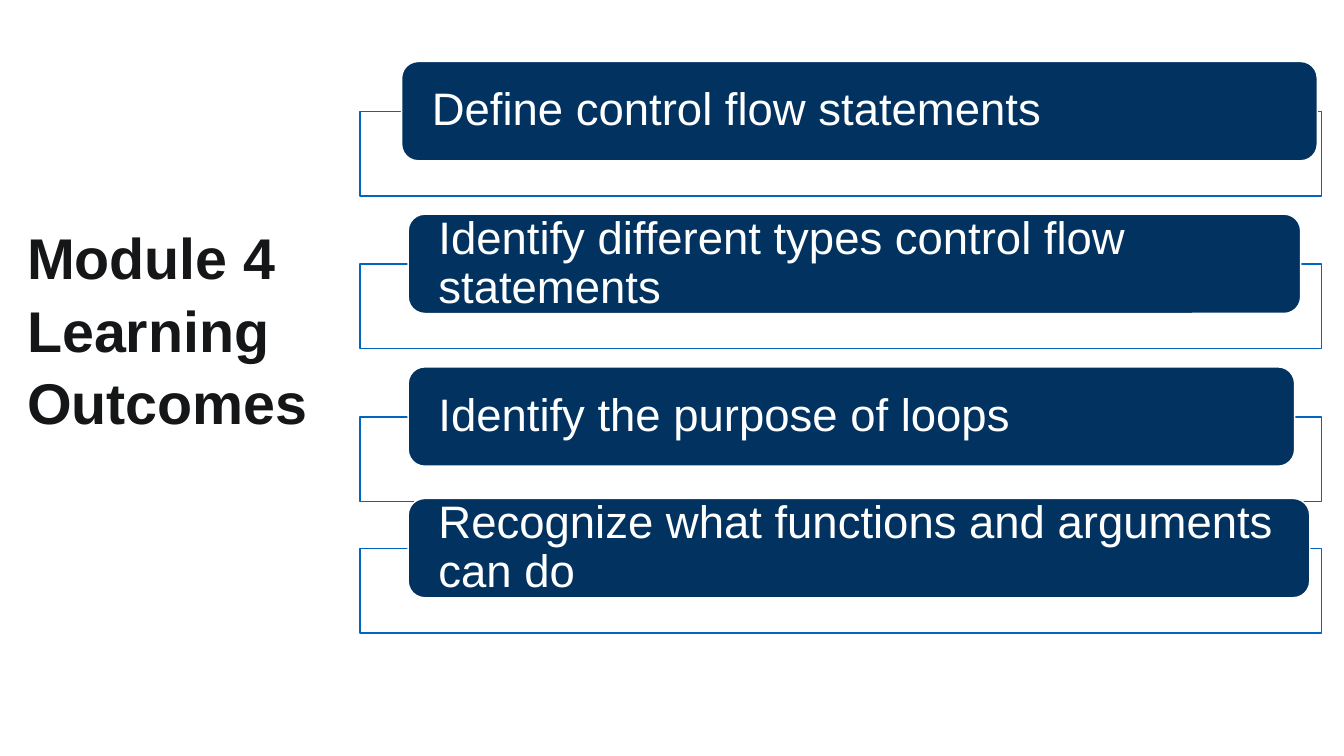
from dataclasses import dataclass

from lxml import etree
from pptx import Presentation
from pptx.dml.color import RGBColor as RGB
from pptx.enum.shapes import MSO_SHAPE as SHAPE
from pptx.enum.text import MSO_ANCHOR as ANCHOR, MSO_AUTO_SIZE as AUTO, PP_ALIGN as ALIGN
from pptx.oxml.ns import qn
from pptx.util import Inches, Pt


@dataclass(frozen=True)
class Theme:
    font: str = "Arial"
    ink: str = "151618"
    white: str = "FFFFFF"
    navy: str = "013260"
    blue: str = "0365C0"
    title_size: int = 82
    item_size: int = 65
    line_width: int = 2


class Builder:
    """Draws styled elements on the current slide."""

    def __init__(self, slide, theme):
        self.s, self.t = slide, theme

    def group(self):
        return self.s.shapes.add_group_shape().shapes

    def box(self, shapes, kind, at, fill, line, opacity=None):
        sp = shapes.add_shape(kind, *map(Inches, at))
        sp.shadow.inherit = False
        sp.fill.solid()
        sp.fill.fore_color.rgb = RGB.from_string(fill)
        sp.line.color.rgb = RGB.from_string(line)
        sp.line.width = Pt(self.t.line_width)
        if opacity is not None:
            color = sp.fill._xPr.find(qn("a:solidFill"))[0]
            etree.SubElement(color, qn("a:alpha")).set("val", str(opacity * 1000))
        return sp

    def text(self, shapes, at, text, size, color, inset=0, spacing=1.0, bold=False, auto=AUTO.NONE):
        tf = shapes.add_textbox(*map(Inches, at)).text_frame
        margins = {f"margin_{side}": Inches(inset) for side in ("left", "top", "right", "bottom")}
        frame = {"word_wrap": True, "auto_size": auto, "vertical_anchor": ANCHOR.MIDDLE, **margins}
        for name, value in frame.items():
            setattr(tf, name, value)
        p = tf.paragraphs[0]
        p.alignment, p.line_spacing = ALIGN.LEFT, spacing
        r = p.add_run()
        r.text = text
        for name, value in {"name": self.t.font, "size": Pt(size), "bold": bold}.items():
            setattr(r.font, name, value)
        r.font.color.rgb = RGB.from_string(color)

    def outcome(self, shapes, top, left, width, text, text_height):
        t = self.t
        pill_height, pad = 1.97, 0.6
        # Outlined frame behind the pill
        self.box(shapes, SHAPE.RECTANGLE, (7.14, top + 0.99, 19.08, 1.68), t.white, t.blue, opacity=89)
        # Rounded pill and its label
        self.box(shapes, SHAPE.ROUNDED_RECTANGLE, (left, top, width, pill_height), t.navy, t.white)
        label = (left + pad, top + (pill_height - text_height) / 2, width - 2 * pad, text_height)
        self.text(shapes, label, text, t.item_size, t.white, spacing=0.9, auto=AUTO.SHAPE_TO_FIT_TEXT)


ONE_LINE, TWO_LINES = 1.01, 1.95

# Pill top, left, width, wording, label height; one list per group
OUTCOME_GROUPS = [
    [
        (1.22, 7.97, 18.17, "Define control flow statements", ONE_LINE),
        (4.25, 8.1, 17.71, "Identify different types control flow statements", TWO_LINES),
        (7.28, 8.1, 17.59, "Identify the purpose of loops", ONE_LINE),
    ],
    [(9.89, 8.1, 17.89, "Recognize what functions and arguments can do", TWO_LINES)],
]


def main():
    prs = Presentation()
    prs.slide_width, prs.slide_height = Inches(26.67), Inches(15)
    theme = Theme()
    b = Builder(prs.slides.add_slide(prs.slide_layouts[6]), theme)

    # Title
    b.text(b.s.shapes, (0.44, 4.42, 6.21, 4.15), "Module 4 Learning Outcomes",
           theme.title_size, theme.ink, inset=0.1, spacing=1.05, bold=True)

    # Learning outcomes
    for outcomes in OUTCOME_GROUPS:
        shapes = b.group()
        for outcome in outcomes:
            b.outcome(shapes, *outcome)

    prs.save("out.pptx")


if __name__ == "__main__":
    main()
